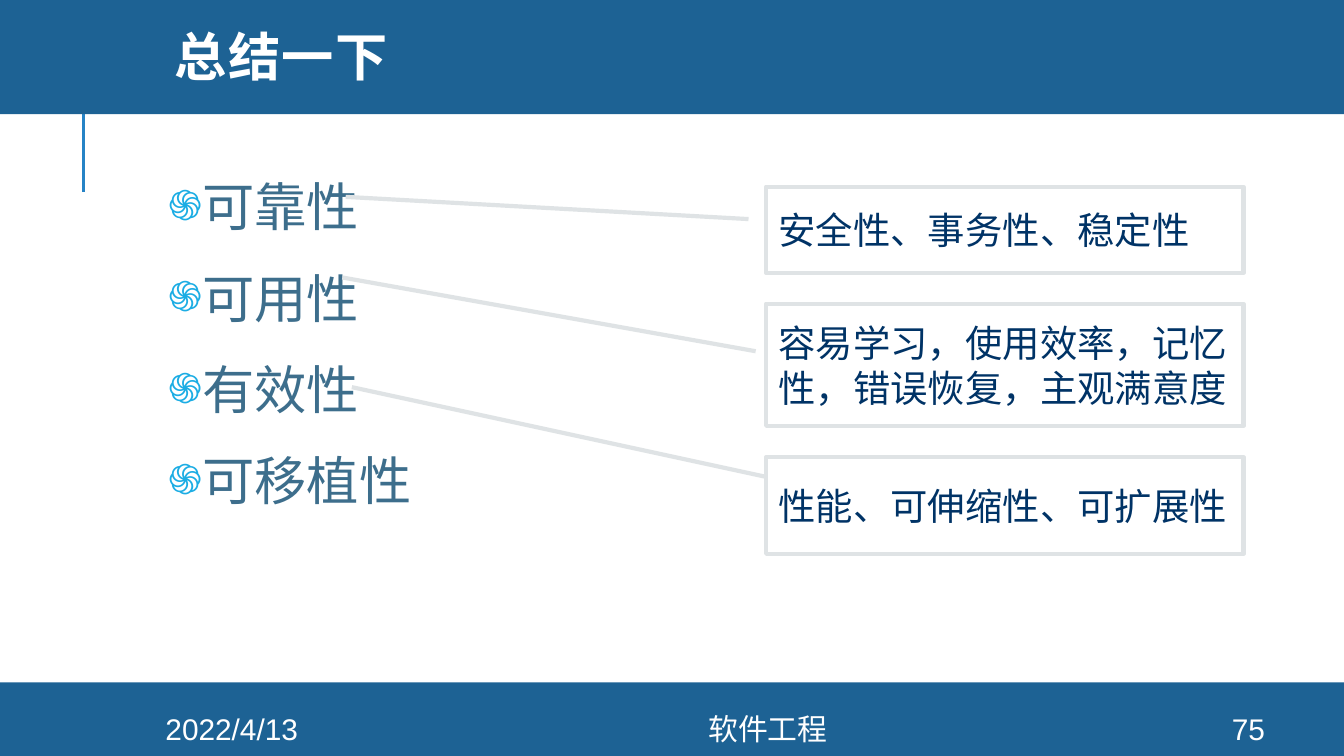
from lxml.etree import SubElement
from pptx import Presentation
from pptx.dml.color import RGBColor
from pptx.enum.shapes import MSO_CONNECTOR as Link, MSO_SHAPE as Kind
from pptx.enum.text import MSO_ANCHOR as Anchor, PP_ALIGN as Align
from pptx.oxml.ns import qn
from pptx.util import Cm, Pt

BLUE = RGBColor(0x1D, 0x62, 0x94)
RULE = RGBColor(0x26, 0x83, 0xC6)
SLATE = RGBColor(0x3D, 0x6E, 0x8C)
NAVY = RGBColor(0x00, 0x33, 0x66)
GREY = RGBColor(0xDF, 0xE3, 0xE5)
WHITE = RGBColor(0xFF, 0xFF, 0xFF)
CYAN = "1CADE4"

# Content; boxes in cm: left, top, width, height
TITLE = "总结一下"
TRAITS = ["可靠性", "可用性", "有效性", "可移植性"]
BANDS = [(0, 12.9, 25.4, 1.39), (0, -0.08, 25.4, 2.24)]
# Callouts: text, top, height, leader ends (y, x, y, x as shares of the box)
NOTES = [
    ("安全性、事务性、稳定性", 3.53, 1.63, (0.376, -0.037, 0.118, -0.881)),
    ("容易学习，使用效率，记忆性，错误恢复，主观满意度", 5.74, 2.31,
     (0.39, -0.022, -0.214, -0.888)),
    ("性能、可伸缩性、可扩展性", 8.64, 1.83, (0.203, -0.002, -0.722, -0.868)),
]
# Footer: text, left, width
FOOTER = [("2022/4/13", 2.13, 4.5), ("软件工程", 6.63, 15.77), ("75", 22.58, 2.03)]

deck = Presentation()
deck.slide_width, deck.slide_height = Cm(25.4), Cm(14.29)
slide = deck.slides.add_slide(deck.slide_layouts[6])
shapes = slide.shapes


def write(shape, *lines, size=16, color=WHITE, font="Arial", bold=False,
          align=Align.LEFT, anchor=Anchor.MIDDLE, inset=(0.25, 0.13),
          spacing=None, before=None):
    frame = shape.text_frame
    frame.word_wrap = True
    frame.vertical_anchor = anchor
    frame.margin_left = frame.margin_right = Cm(inset[0])
    frame.margin_top = frame.margin_bottom = Cm(inset[1])
    frame.text = "\n".join(lines)
    for para in frame.paragraphs:
        para.alignment = align
        para.line_spacing = spacing
        para.space_before = before
        face = para.runs[0].font
        face.name, face.size, face.bold = font, Pt(size), bold
        face.color.rgb = color
    return frame


def block(kind, box, fill, line=None):
    shape = shapes.add_shape(kind, *map(Cm, box))
    shape.shadow.inherit = False
    shape.fill.solid()
    shape.fill.fore_color.rgb = fill
    if line:
        shape.line.color.rgb = line
        shape.line.width = Pt(2.25)
    else:
        shape.line.fill.background()
    return shape


def label(box):
    return shapes.add_textbox(*map(Cm, box))


def bullet(para):
    props = para._p.get_or_add_pPr()
    props.set("marL", str(Cm(0.18)))
    props.set("indent", str(Cm(-1.19)))
    tint = SubElement(props, qn("a:buClr"))
    SubElement(tint, qn("a:srgbClr"), val=CYAN)
    SubElement(props, qn("a:buSzPct"), val="80000")
    SubElement(props, qn("a:buFont"), typeface="Arial")
    SubElement(props, qn("a:buChar"), char="֍")


# Rule and bands
rule = shapes.add_connector(Link.STRAIGHT, Cm(1.58), Cm(3.63), Cm(1.58), Cm(1.73))
rule.line.color.rgb = RULE
rule.line.width = Pt(1.5)
SubElement(rule._element.spPr, qn("a:effectLst"))
for box in BANDS:
    block(Kind.RECTANGLE, box, BLUE)

# Title and traits
head = write(label((3.05, 0, 21.56, 2.31)), TITLE, size=28, font="Montserrat",
             bold=True, spacing=0.8)
head.paragraphs[0].runs[0].font._element.set("spc", "80")
traits = write(label((3.05, 3.05, 20.85, 10.08)), *TRAITS, size=28, color=SLATE,
               align=Align.JUSTIFY, anchor=Anchor.TOP, inset=(0.13, 0.13),
               spacing=1.1, before=Pt(12))
for para in traits.paragraphs:
    bullet(para)

# Callouts
for text, top, height, ends in NOTES:
    note = block(Kind.LINE_CALLOUT_1, (14.48, top, 9.02, height), WHITE, GREY)
    for i, end in enumerate(ends):
        note.adjustments[i] = end
    write(note, text, size=20, color=NAVY, inset=(0.23, 0.1))

# Footer
for text, left, width in FOOTER:
    write(label((left, 13.49, width, 0.58)), text, align=Align.CENTER)

deck.save("out.pptx")
